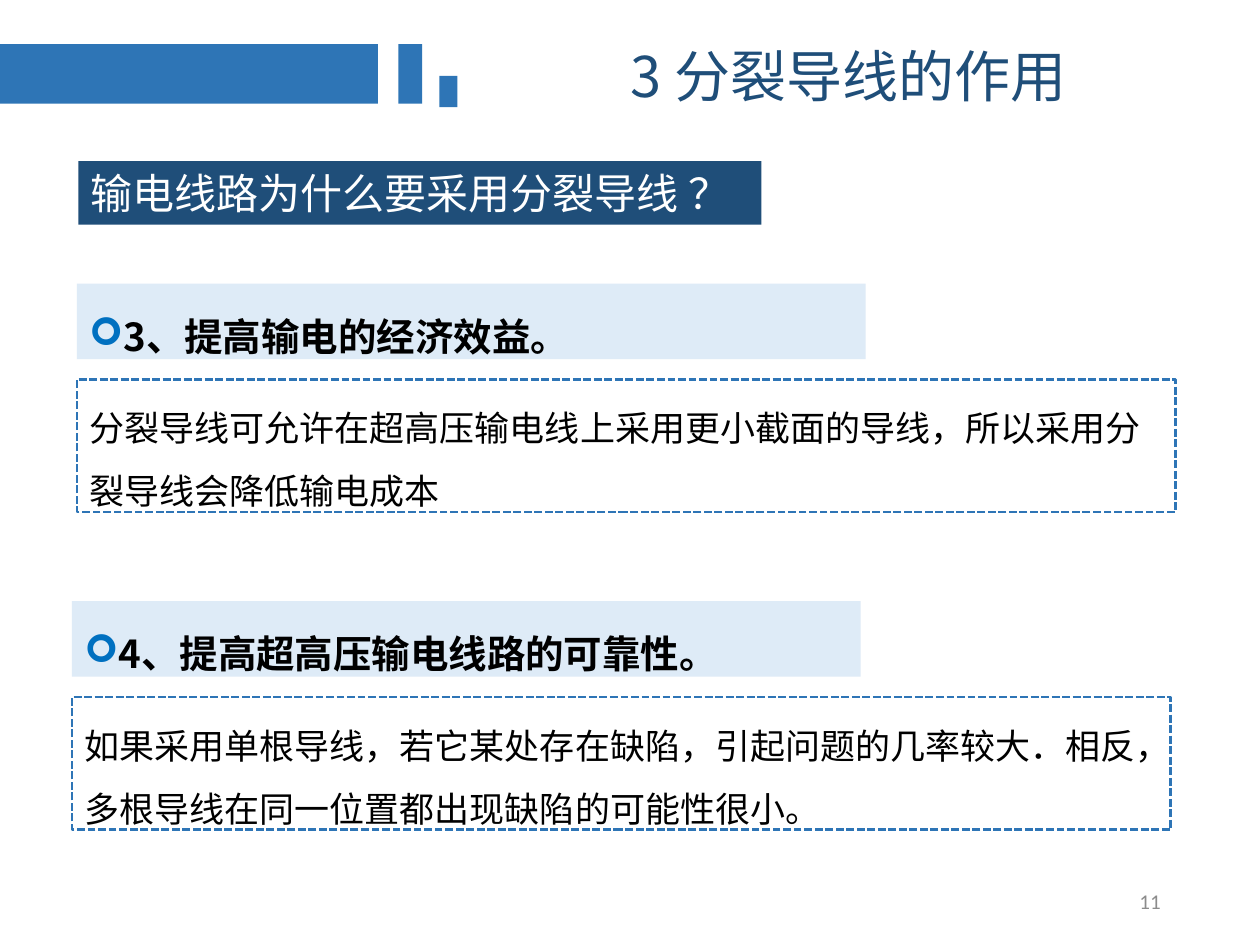
from lxml import etree
from pptx import Presentation
from pptx.dml.color import RGBColor
from pptx.enum.dml import MSO_LINE
from pptx.enum.shapes import MSO_SHAPE
from pptx.enum.text import MSO_ANCHOR, MSO_AUTO_SIZE, PP_ALIGN
from pptx.oxml.ns import qn
from pptx.util import Cm, Pt

RECT = MSO_SHAPE.RECTANGLE
DASH = MSO_LINE.SQUARE_DOT
TOP, MIDDLE = MSO_ANCHOR.TOP, MSO_ANCHOR.MIDDLE
LEFT, CENTER, RIGHT = PP_ALIGN.LEFT, PP_ALIGN.CENTER, PP_ALIGN.RIGHT
FIXED = MSO_AUTO_SIZE.NONE

HAN = "Noto Sans CJK SC"
COLORS = {
    "blue": "2E75B6", "navy": "1F4E79", "pale": "DEEBF7", "mark": "0070C0",
    "black": "000000", "white": "FFFFFF", "gray": "8C8C8C",
}

# Left edge, top, heading, body of each reason
REASONS = [
    (1.55, 5.72, "3、提高输电的经济效益。",
     "分裂导线可允许在超高压输电线上采用更小截面的导线，所以采用分裂导线会降低输电成本"),
    (1.45, 12.12, "4、提高超高压输电线路的可靠性。",
     "如果采用单根导线，若它某处存在缺陷，引起问题的几率较大．相反，"
     "多根导线在同一位置都出现缺陷的可能性很小。"),
]


def rgb(name):
    return RGBColor.from_string(COLORS[name])


def add_box(slide, x, y, w, h, fill=None, line=None):
    box = slide.shapes.add_shape(RECT, Cm(x), Cm(y), Cm(w), Cm(h))
    box.shadow.inherit = False
    if fill:
        box.fill.solid()
        box.fill.fore_color.rgb = rgb(fill)
    else:
        box.fill.background()
    if line:
        box.line.color.rgb = rgb(line)
        box.line.width = Pt(1.5)
        box.line.dash_style = DASH
    else:
        box.line.fill.background()
    return box


def add_mark(para, char):
    props = para._p.get_or_add_pPr()
    props.set("marL", "0")
    props.set("indent", str(-Cm(1.5)))
    color = etree.SubElement(props, qn("a:buClr"))
    etree.SubElement(color, qn("a:srgbClr"), val=COLORS["mark"])
    etree.SubElement(props, qn("a:buFont"), typeface="Wingdings")
    etree.SubElement(props, qn("a:buChar"), char=char)


def set_text(shape, text, size, color, font=HAN, bold=False,
             align=LEFT, anchor=TOP, space=1.0, mark=None):
    frame = shape.text_frame
    frame.word_wrap = True
    frame.auto_size = FIXED
    frame.vertical_anchor = anchor
    para = frame.paragraphs[0]
    if mark:
        add_mark(para, mark)
    para.alignment = align
    para.line_spacing = space
    run = para.add_run()
    run.text = text
    run.font.size = Pt(size)
    run.font.bold = bold
    run.font.color.rgb = rgb(color)
    run.font.name = font
    etree.SubElement(run.font._element, qn("a:ea"), typeface=font)


def add_title(slide, text):
    title = slide.shapes.title
    title.left, title.top = Cm(9.7), Cm(0.71)
    title.width, title.height = Cm(14.81), Cm(1.62)
    set_text(title, text, 32, "navy", align=CENTER)


def add_reason(slide, x, y, head, body):
    bar = add_box(slide, x, y, 15.9, 1.52, fill="pale")
    set_text(bar, head, 22, "black", bold=True, space=1.5, mark="➢")
    panel = add_box(slide, x, y + 1.93, 22.15, 2.67, line="blue")
    set_text(panel, body, 20, "black", space=1.5)


def main():
    deck = Presentation()
    deck.slide_width, deck.slide_height = Cm(25.4), Cm(19.05)
    slide = deck.slides.add_slide(deck.slide_layouts[5])

    # Header bars and title
    for x, y, w, h in [(0, 0.89, 7.62, 1.2), (8.03, 0.89, 0.48, 1.2),
                       (8.86, 1.53, 0.36, 0.63)]:
        add_box(slide, x, y, w, h, fill="blue")
    add_title(slide, "3 分裂导线的作用")

    # Question and reasons
    ask = add_box(slide, 1.58, 3.25, 13.77, 1.28, fill="navy")
    set_text(ask, "输电线路为什么要采用分裂导线 ？", 24, "white")
    for reason in REASONS:
        add_reason(slide, *reason)

    # Page number
    page = slide.shapes.add_textbox(Cm(17.93), Cm(17.65), Cm(5.72), Cm(1.02))
    set_text(page, "11", 12, "gray", font="Calibri", align=RIGHT,
             anchor=MIDDLE)

    deck.save("out.pptx")


if __name__ == "__main__":
    main()
